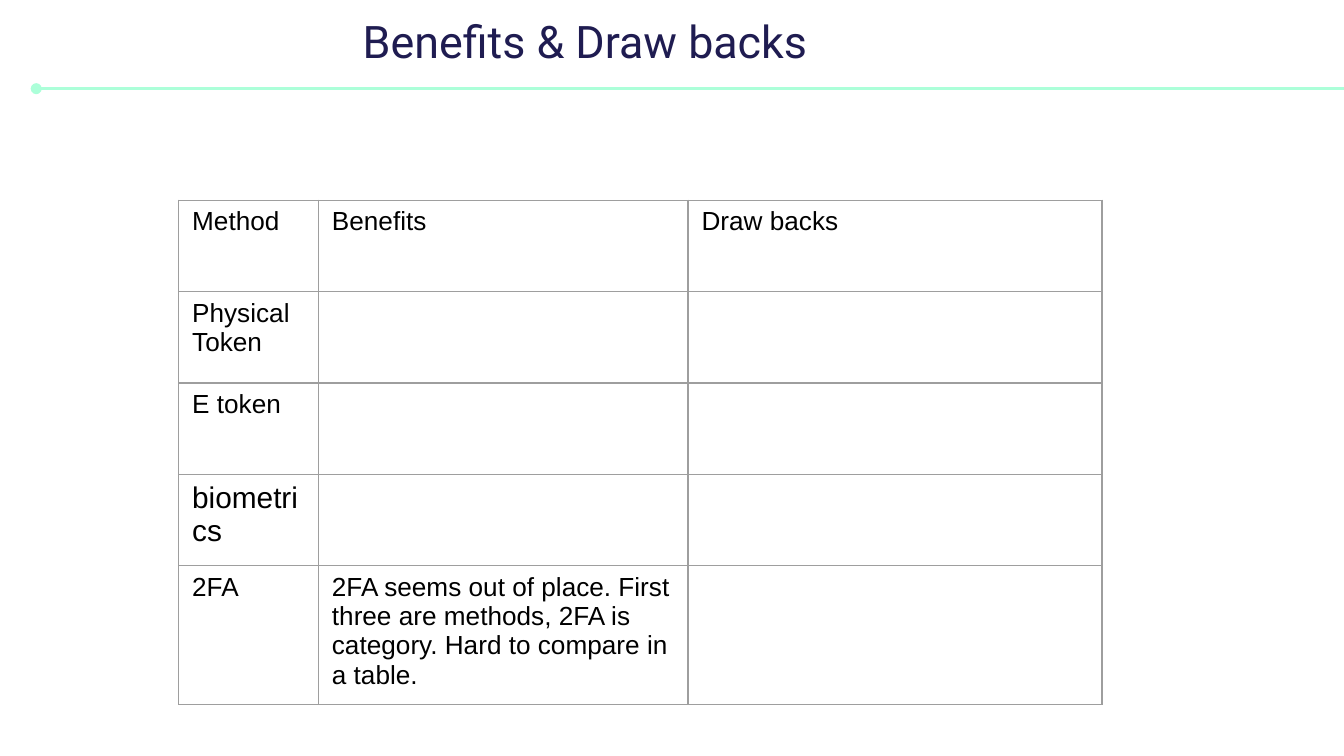
from lxml import etree
from pptx import Presentation
from pptx import util as u
from pptx.dml.color import RGBColor
from pptx.enum import shapes, text
from pptx.oxml import parse_xml
from pptx.oxml.ns import nsdecls, qn

HUES = {"title": "1F1C51", "rule": "ACFFD9", "ink": "000000", "edge": "9E9E9E"}
COLS = [1.04, 2.75, 3.08]
ROWS = [
    ["Method", "Benefits", "Draw backs"],
    ["Physical Token", "", ""],
    ["E token", "", ""],
    ["biometrics", "", ""],
    [
        "2FA",
        "2FA seems out of place. First three are methods, 2FA is category. "
        "Hard to compare in a table.",
        "",
    ],
]
SIZES = {"biometrics": 16}


class Deck:
    """Draws styled elements on the current slide."""

    def __init__(self, prs):
        self.slide = prs.slides.add_slide(prs.slide_layouts[6])

    def run(self, para, words, size, face, hue):
        run = para.add_run()
        run.text = words
        run.font.size = u.Pt(size)
        run.font.name = face
        run.font.color.rgb = RGBColor.from_string(HUES[hue])

    def title(self, words, *box):
        frame = self.slide.shapes.add_textbox(*map(u.Inches, box)).text_frame
        frame.word_wrap = True
        frame.vertical_anchor = text.MSO_ANCHOR.TOP
        frame.margin_left = frame.margin_right = u.Inches(0.1)
        frame.margin_top = frame.margin_bottom = u.Inches(0.1)
        self.run(frame.paragraphs[0], words, 24, "Roboto", "title")

    def rule(self, left, right, top):
        ends = map(u.Inches, (left, top, right, top))
        rule = self.slide.shapes.add_connector(shapes.MSO_CONNECTOR.STRAIGHT, *ends)
        rule.line.color.rgb = RGBColor.from_string(HUES["rule"])
        rule.line.width = u.Pt(1.5)
        head = etree.SubElement(rule.line._get_or_add_ln(), qn("a:headEnd"))
        head.set("type", "oval")
        etree.SubElement(rule._element.spPr, qn("a:effectLst"))

    def edges(self, cell):
        props = cell._tc.get_or_add_tcPr()
        for side in "LRTB":
            props.append(parse_xml(
                f'<a:ln{side} {nsdecls("a")} w="{u.Pt(0.75)}"><a:solidFill>'
                f'<a:srgbClr val="{HUES["edge"]}"/></a:solidFill></a:ln{side}>'
            ))

    def table(self, rows, cols, left, top, tall, high):
        box = map(u.Inches, (left, top, sum(cols), tall))
        frame = self.slide.shapes.add_table(len(rows), len(cols), *box)
        grid = frame.table
        grid.first_row = grid.horz_banding = False
        for col, wide in zip(grid.columns, cols):
            col.width = u.Inches(wide)
        for row, words in zip(grid.rows, rows):
            row.height = u.Inches(high)
            for cell, word in zip(row.cells, words):
                self.edges(cell)
                cell.fill.background()
                if word:
                    para = cell.text_frame.paragraphs[0]
                    self.run(para, word, SIZES.get(word, 14), "Arial", "ink")
        frame.height = u.Inches(tall)


def main():
    prs = Presentation()
    prs.slide_width = u.Inches(10)
    prs.slide_height = prs.slide_width * 9 // 16
    deck = Deck(prs)
    deck.rule(0.27, 10.1, 0.66)
    deck.title("Benefits & Draw backs", 2.6, 0, 6.65, 0.59)
    deck.table(ROWS, COLS, 1.33, 1.49, 3.74, 0.68)
    prs.save("out.pptx")


if __name__ == "__main__":
    main()
